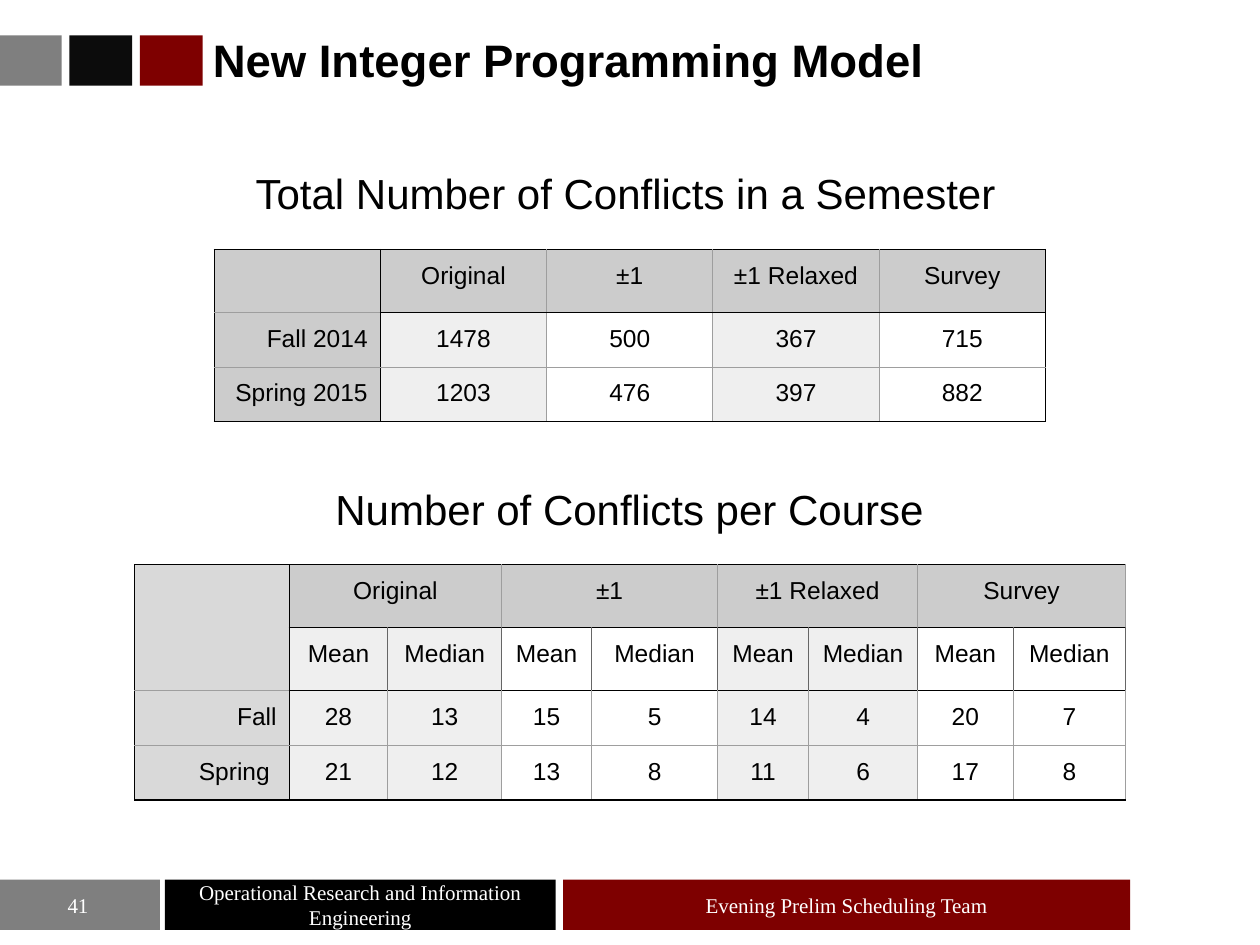
from dataclasses import dataclass

from lxml import etree
from pptx import Presentation
from pptx.dml.color import RGBColor
from pptx.enum.shapes import MSO_SHAPE
from pptx.enum.text import MSO_ANCHOR, PP_ALIGN
from pptx.oxml.ns import qn
from pptx.util import Pt

RECT = MSO_SHAPE.RECTANGLE
TOP, MIDDLE = MSO_ANCHOR.TOP, MSO_ANCHOR.MIDDLE
LEFT, CENTER, RIGHT = PP_ALIGN.LEFT, PP_ALIGN.CENTER, PP_ALIGN.RIGHT


@dataclass(frozen=True)
class Theme:
    """Hold the colours, fonts and type sizes of the slide."""
    black: str = "000000"
    white: str = "FFFFFF"
    ink: str = "0C0C0C"
    gray: str = "7F7F7F"
    red: str = "7E0000"
    head: str = "CCCCCC"
    side: str = "D9D9D9"
    band: str = "EFEFEF"
    rule: str = "9E9E9E"
    dark: str = "666666"
    sans: str = "Arial"
    serif: str = "Times New Roman"
    title: float = 26
    topic: float = 24
    cell: float = 14
    foot: float = 12
    line: float = 0.75
    pad: float = 7.2


THEME = Theme()


def write(frame, text, size, font, color, align, bold=False):
    """Put one styled paragraph in a text frame."""
    frame.text = text
    para = frame.paragraphs[0]
    para.alignment = align
    for run in para.runs:
        run.font.size = Pt(size)
        run.font.name = font
        run.font.bold = bold
        run.font.color.rgb = RGBColor.from_string(color)


def add_block(slide, box, color):
    """Add a plain filled rectangle."""
    block = slide.shapes.add_shape(RECT, *map(Pt, box))
    block.shadow.inherit = False
    block.fill.solid()
    block.fill.fore_color.rgb = RGBColor.from_string(color)
    block.line.fill.background()
    return block


def add_label(slide, box, anchor, *style, inset=3.6):
    """Add a wrapped text box with one styled paragraph."""
    frame = slide.shapes.add_textbox(*map(Pt, box)).text_frame
    frame.word_wrap = True
    frame.vertical_anchor = anchor
    frame.margin_top = frame.margin_bottom = Pt(inset)
    write(frame, *style)


def add_title(slide, box, text):
    """Add the three colour blocks and the title to their right."""
    left, top, width, height = box
    add_label(slide, (left + 115.2, top, width - 115.2, height), MIDDLE,
              text, THEME.title, THEME.sans, THEME.black, LEFT, True)
    for step, color in enumerate((THEME.gray, THEME.ink, THEME.red)):
        add_block(slide, (left + 40.3 * step, top + 8, 36, 28.8), color)


def add_footer(slide, box, page, dept, team):
    """Add the bottom bar with page number, department and team."""
    left, top, width, height = box
    parts = ((324, 324, THEME.red, team), (96.5, 223.2, THEME.black, dept),
             (0, 93.6, THEME.gray, ""))
    style = THEME.foot, THEME.serif, THEME.white, CENTER
    for shift, wide, color, text in parts:
        block = add_block(slide, (left + shift, top, wide, height), color)
        if text:
            block.text_frame.word_wrap = True
            block.text_frame.vertical_anchor = MIDDLE
            write(block.text_frame, text, *style)
    add_label(slide, (left, top, 93.6, height), MIDDLE, page, *style)


def set_edge(cell, side, color):
    """Draw one border of a cell, or hide it when there is no colour."""
    props = cell._tc.get_or_add_tcPr()
    line = etree.SubElement(props, qn("a:ln" + side), w=str(Pt(THEME.line)))
    if color:
        fill = etree.SubElement(line, qn("a:solidFill"))
        etree.SubElement(fill, qn("a:srgbClr"), val=color)
    else:
        etree.SubElement(line, qn("a:noFill"))


def add_grid(slide, box, cols, rows, span, side, rim):
    """Add a table whose groups of span columns have span header rows."""
    high, wide = len(rows), len(cols)
    shape = slide.shapes.add_table(high, wide, *map(Pt, box))
    table = shape.table
    table.first_row = table.horz_banding = False
    for col, width in zip(table.columns, cols):
        col.width = Pt(width)

    def flat(x, y):
        """Give the colour of the horizontal edge above cell x, y."""
        if y in (0, high):
            return THEME.black
        if x == 0:
            return THEME.rule if y >= span else None
        return THEME.black if y <= span else THEME.rule

    def tall(x, y):
        """Give the colour of the vertical edge left of cell x, y."""
        if x < 2:
            return THEME.black
        if 0 < y < span:
            return THEME.dark
        return rim if x == wide else THEME.rule

    def tint(x, y):
        """Give the fill of cell x, y."""
        if x == 0:
            return side
        if y == 0:
            return THEME.head
        return None if (x - 1) // span % 2 else THEME.band

    for y, row in enumerate(rows):
        table.rows[y].height = Pt(34.6 if y < span else 30.2)
        for x, text in enumerate(row):
            cell = table.cell(y, x)
            cell.margin_top = cell.margin_bottom = Pt(THEME.pad)
            if text:
                write(cell.text_frame, text, THEME.cell, THEME.sans,
                      THEME.black, CENTER if x else RIGHT)
            set_edge(cell, "L", tall(x, y))
            set_edge(cell, "R", tall(x + 1, y))
            set_edge(cell, "T", flat(x, y))
            set_edge(cell, "B", flat(x, y + 1))
            color = tint(x, y)
            if color:
                cell.fill.solid()
                cell.fill.fore_color.rgb = RGBColor.from_string(color)
            else:
                cell.fill.background()
    if span > 1:
        for x in range(1, wide, span):
            table.cell(0, x).merge(table.cell(0, x + span - 1))


def add_topic(slide, box, text, align):
    """Add the heading above a table."""
    add_label(slide, box, TOP, text, THEME.topic, THEME.sans, THEME.black,
              align, inset=THEME.pad)


def main():
    """Build the slide and save it."""
    deck = Presentation()
    deck.slide_width, deck.slide_height = Pt(720), Pt(540)
    slide = deck.slides.add_slide(deck.slide_layouts[6])
    models = ["Original", "±1", "±1 Relaxed", "Survey"]
    totals = [["", *models],
              ["Fall 2014", "1478", "500", "367", "715"],
              ["Spring 2015", "1203", "476", "397", "882"]]
    means = [["", *(text for model in models for text in (model, ""))],
             ["", *["Mean", "Median"] * len(models)],
             ["Fall", "28", "13", "15", "5", "14", "4", "20", "7"],
             ["Spring ", "21", "12", "13", "8", "11", "6", "17", "8"]]
    widths = [88.3, 56.3, 65.1, 51.4, 72, 52, 62.3, 54.6, 64.3]

    add_title(slide, (-0.7, 12.2, 755.3, 43.2),
              "New Integer Programming Model")
    add_footer(slide, (-2.2, 502.6, 648, 28.8), "41",
               "Operational Research and Information Engineering",
               "Evening Prelim Scheduling Team")
    add_grid(slide, (122.4, 142.5, 475, 95), [95] * 5, totals, 1,
             THEME.head, THEME.black)
    add_topic(slide, (139, 88.6, 441.4, 54),
              "Total Number of Conflicts in a Semester", LEFT)
    add_grid(slide, (77, 322.6, sum(widths), 129.6), widths, means, 2,
             THEME.side, THEME.rule)
    add_topic(slide, (139, 269.3, 441.4, 54),
              "Number of Conflicts per Course", CENTER)
    deck.save("out.pptx")


if __name__ == "__main__":
    main()
